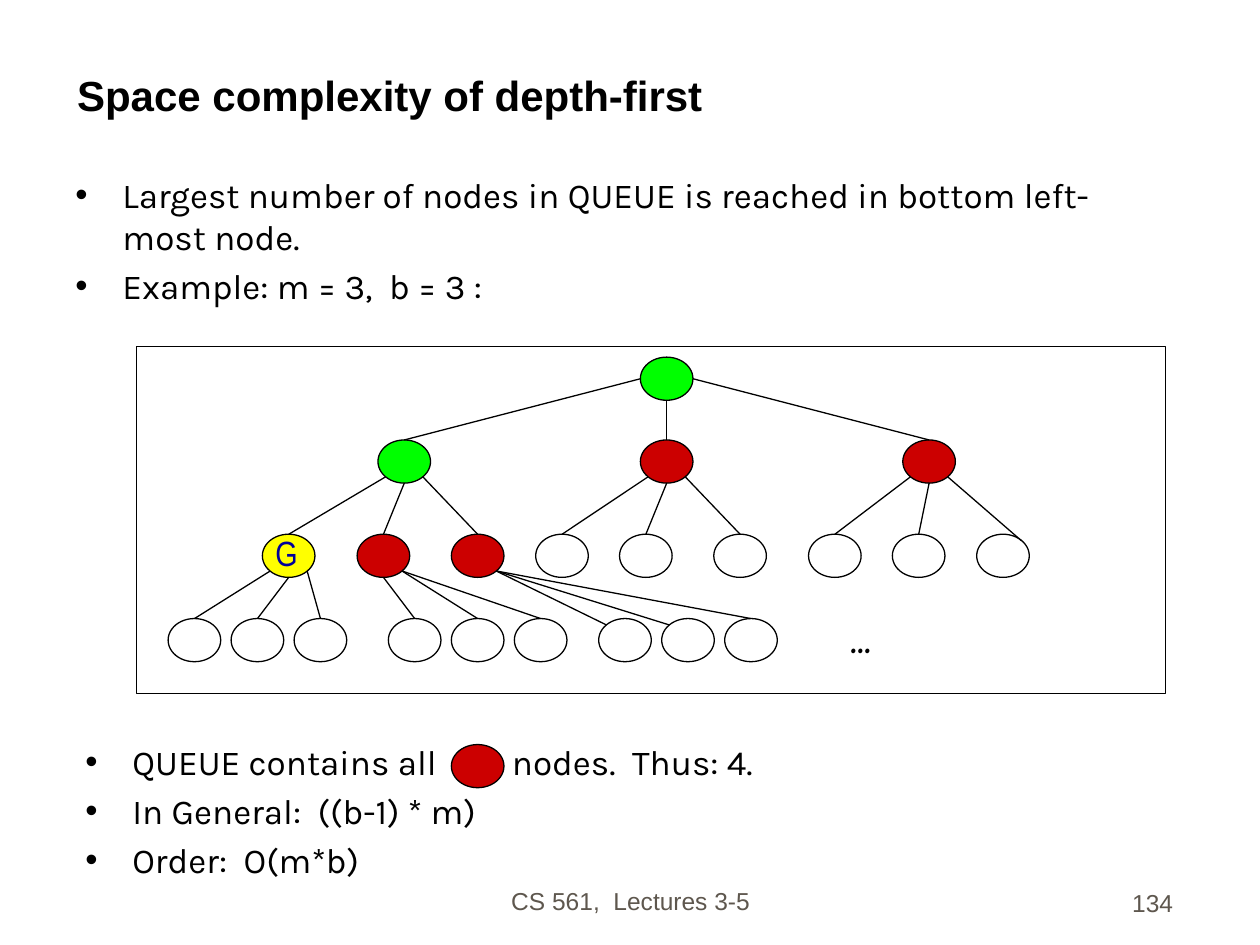
from dataclasses import dataclass
from typing import Optional

import pptx
import pptx.dml.color
import pptx.enum.shapes
import pptx.enum.text
import pptx.oxml.ns
import pptx.util
from lxml import etree

Cm, Pt = pptx.util.Cm, pptx.util.Pt
RGBColor = pptx.dml.color.RGBColor
Align = pptx.enum.text.PP_ALIGN
Anchor = pptx.enum.text.MSO_ANCHOR
Shape = pptx.enum.shapes.MSO_SHAPE
qn = pptx.oxml.ns.qn

BLACK = RGBColor(0x00, 0x00, 0x00)
WHITE = RGBColor(0xFF, 0xFF, 0xFF)
EXPANDED = RGBColor(0x00, 0xFF, 0x00)
QUEUED = RGBColor(0xCC, 0x00, 0x00)
GOAL = RGBColor(0xFF, 0xFF, 0x00)
GOAL_LETTER = RGBColor(0x00, 0x00, 0x99)
FOOTER = RGBColor(0x5E, 0x57, 0x4E)

NODE_WIDTH, NODE_HEIGHT = 1.06, 0.87
LEVEL_TOPS = (7.2, 8.87, 10.77, 12.47)
LEAF_STEP = 1.27
INDENT = 0.95
TAB_STOP = 8.6

# Points on a node's outline, as fractions of its width and height
SITES = {
    "top": (0.5, 0), "bottom": (0.5, 1), "left": (0, 0.5), "right": (1, 0.5),
    "upper left": (0.15, 0.15), "upper right": (0.85, 0.15),
    "lower left": (0.15, 0.85), "lower right": (0.85, 0.85),
}
FAN = ("lower left", "bottom", "lower right")


@dataclass(frozen=True)
class Node:
    left: float
    top: float
    fill: Optional[RGBColor] = WHITE

    def site(self, name: str) -> tuple[float, float]:
        across, down = SITES[name]
        return self.left + across * NODE_WIDTH, self.top + down * NODE_HEIGHT


@dataclass(frozen=True)
class Family:
    """A parent, its children, and where each edge leaves and arrives."""
    parent: Node
    children: list[Node]
    starts: tuple[str, ...] = FAN
    ends: tuple[str, ...] = ("top",) * 3


def level(depth: int, lefts: list[float], fills: list) -> list[Node]:
    return [Node(left, LEVEL_TOPS[depth], fill) for left, fill in zip(lefts, fills)]


def leaves(left: float, fill: Optional[RGBColor]) -> list[Node]:
    return level(3, [left + i * LEAF_STEP for i in range(3)], [fill] * 3)


def draw_shape(shapes, kind, left: float, top: float, width: float, height: float,
               fill: Optional[RGBColor]) -> None:
    shape = shapes.add_shape(kind, Cm(left), Cm(top), Cm(width), Cm(height))
    shape.shadow.inherit = False
    if fill is None:
        shape.fill.background()
    else:
        shape.fill.solid()
        shape.fill.fore_color.rgb = fill
    shape.line.color.rgb = BLACK
    shape.line.width = Pt(0.75)


def draw_node(shapes, node: Node) -> None:
    draw_shape(shapes, Shape.OVAL, node.left, node.top, NODE_WIDTH, NODE_HEIGHT, node.fill)


def draw_edges(shapes, family: Family) -> None:
    for child, start, end in zip(family.children, family.starts, family.ends):
        points = family.parent.site(start) + child.site(end)
        edge = shapes.add_connector(pptx.enum.shapes.MSO_CONNECTOR.STRAIGHT,
                                    *(Cm(value) for value in points))
        edge.line.color.rgb = BLACK
        edge.line.width = Pt(0.75)
        etree.SubElement(edge._element.spPr, qn("a:effectLst"))


def format_font(font, color: RGBColor, **values) -> None:
    for name, value in values.items():
        setattr(font, name, value)
    font.color.rgb = color


def draw_text(shapes, text: str, place: tuple, color: RGBColor, align=Align.LEFT,
              anchor=Anchor.TOP, wrap: bool = True, **font_values) -> None:
    box = shapes.add_textbox(*(Cm(value) for value in place))
    box.text_frame.word_wrap = wrap
    box.text_frame.vertical_anchor = anchor
    para = box.text_frame.paragraphs[0]
    para.alignment = align
    span = para.add_run()
    span.text = text
    format_font(span.font, color, **font_values)


def draw_bullets(shapes, lines: list[str], place: tuple) -> None:
    box = shapes.add_textbox(*(Cm(value) for value in place))
    frame = box.text_frame
    frame.word_wrap = True
    for number, line in enumerate(lines):
        para = frame.paragraphs[0] if number == 0 else frame.add_paragraph()
        para.text = line
        if number:
            para.space_before = Pt(4)
        properties = para._p.get_or_add_pPr()
        properties.set("marL", str(Cm(INDENT)))
        properties.set("indent", str(-Cm(INDENT)))
        etree.SubElement(properties, qn("a:buFont"), typeface="Arial")
        etree.SubElement(properties, qn("a:buChar"), char="•")
        if "\t" in line:
            tabs = etree.SubElement(properties, qn("a:tabLst"))
            etree.SubElement(tabs, qn("a:tab"), pos=str(Cm(TAB_STOP)), algn="l")
        for span in para.runs:
            format_font(span.font, BLACK, name="Karla", size=Pt(20))


def draw_title(page, text: str) -> None:
    title = page.shapes.title
    place = {"left": 1.3, "top": 0.64, "width": 22.66, "height": 1.9}
    for name, value in place.items():
        setattr(title, name, Cm(value))
    title.text_frame.text = text
    title.text_frame.vertical_anchor = Anchor.BOTTOM
    para = title.text_frame.paragraphs[0]
    para.alignment = Align.LEFT
    format_font(para.runs[0].font, BLACK, name="Arial", size=Pt(24), bold=True)


def draw_tree(page) -> None:
    root = Node(12.91, LEVEL_TOPS[0], EXPANDED)
    middle = level(1, [7.62, 12.91, 18.2], [EXPANDED, QUEUED, QUEUED])
    lower = level(2, [5.29, 7.2, 9.1, 10.8, 12.49, 14.39, 16.3, 17.99, 19.69],
                  [GOAL, QUEUED, QUEUED] + [WHITE] * 6)
    bottom = [leaves(3.39, None), leaves(7.83, WHITE), leaves(12.07, WHITE)]
    families = [
        Family(root, middle, ("left", "bottom", "right")),
        Family(middle[0], lower[:3]),
        Family(middle[1], lower[3:6]),
        Family(middle[2], lower[6:], ends=("top", "top", "upper right")),
        Family(lower[0], bottom[0]),
        Family(lower[1], bottom[1], ("bottom", "lower right", "lower right")),
        Family(lower[2], bottom[2], ("lower right",) * 3,
               ("upper left", "upper left", "top")),
    ]
    shapes = page.shapes.add_group_shape().shapes
    draw_shape(shapes, Shape.RECTANGLE, 2.75, 6.99, 20.75, 6.99, WHITE)
    draw_node(shapes, root)
    for family in families:
        for child in family.children:
            draw_node(shapes, child)
    for family in families:
        draw_edges(shapes, family)
    draw_text(shapes, "...", (16.89, 12.27, 1.52, 1.19), BLACK, wrap=False,
              name="Comic Neue", size=Pt(22), bold=True)


def main() -> None:
    deck = pptx.Presentation()
    deck.slide_width, deck.slide_height = Cm(25.4), Cm(19.05)
    page = deck.slides.add_slide(deck.slide_layouts[5])
    shapes = page.shapes
    footer = {"anchor": Anchor.BOTTOM, "name": "Arial", "size": Pt(14)}
    draw_text(shapes, "CS 561,  Lectures 3-5", (8.69, 17.3, 8.05, 1.27), FOOTER,
              Align.CENTER, **footer)
    draw_text(shapes, "134", (18.62, 17.35, 5.28, 1.27), FOOTER, Align.RIGHT, **footer)
    draw_title(page, "Space complexity of depth-first")
    draw_bullets(shapes, [
        "Largest number of nodes in QUEUE is reached in bottom left-most node.",
        "Example: m = 3,  b = 3 :",
    ], (1.27, 3.38, 22.02, 14.17))
    draw_tree(page)
    draw_bullets(shapes, [
        "QUEUE contains all\tnodes.  Thus: 4.",
        "In General:  ((b-1) * m)",
        "Order:  O(m*b)",
    ], (1.47, 14.81, 22.02, 3.81))
    draw_node(shapes, Node(9.1, 15.01, QUEUED))
    draw_text(shapes, "G", (5.29, 10.59, 0.97, 1.12), GOAL_LETTER, Align.CENTER,
              wrap=False, name="Arial Narrow", size=Pt(20))
    deck.save("out.pptx")


if __name__ == "__main__":
    main()
